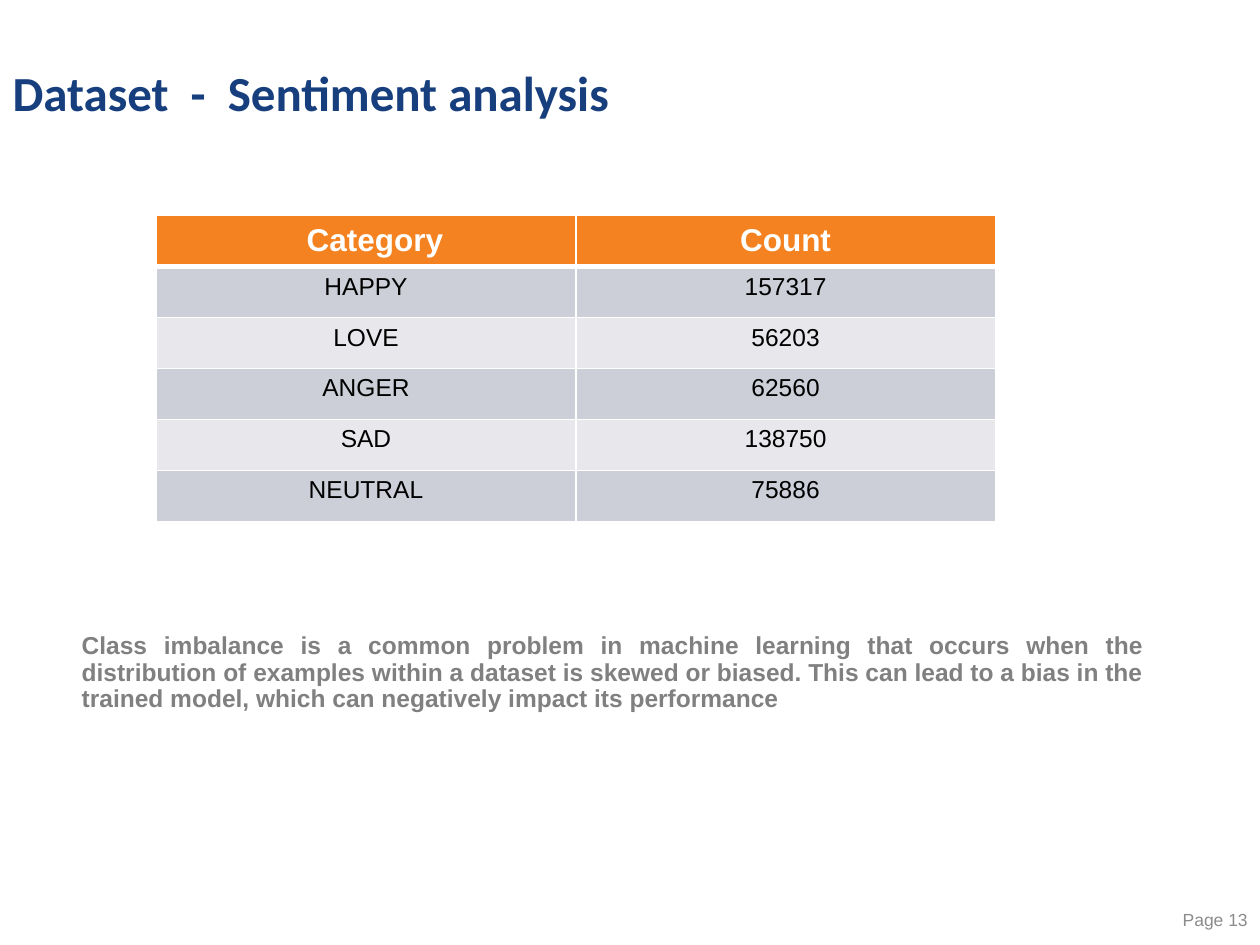
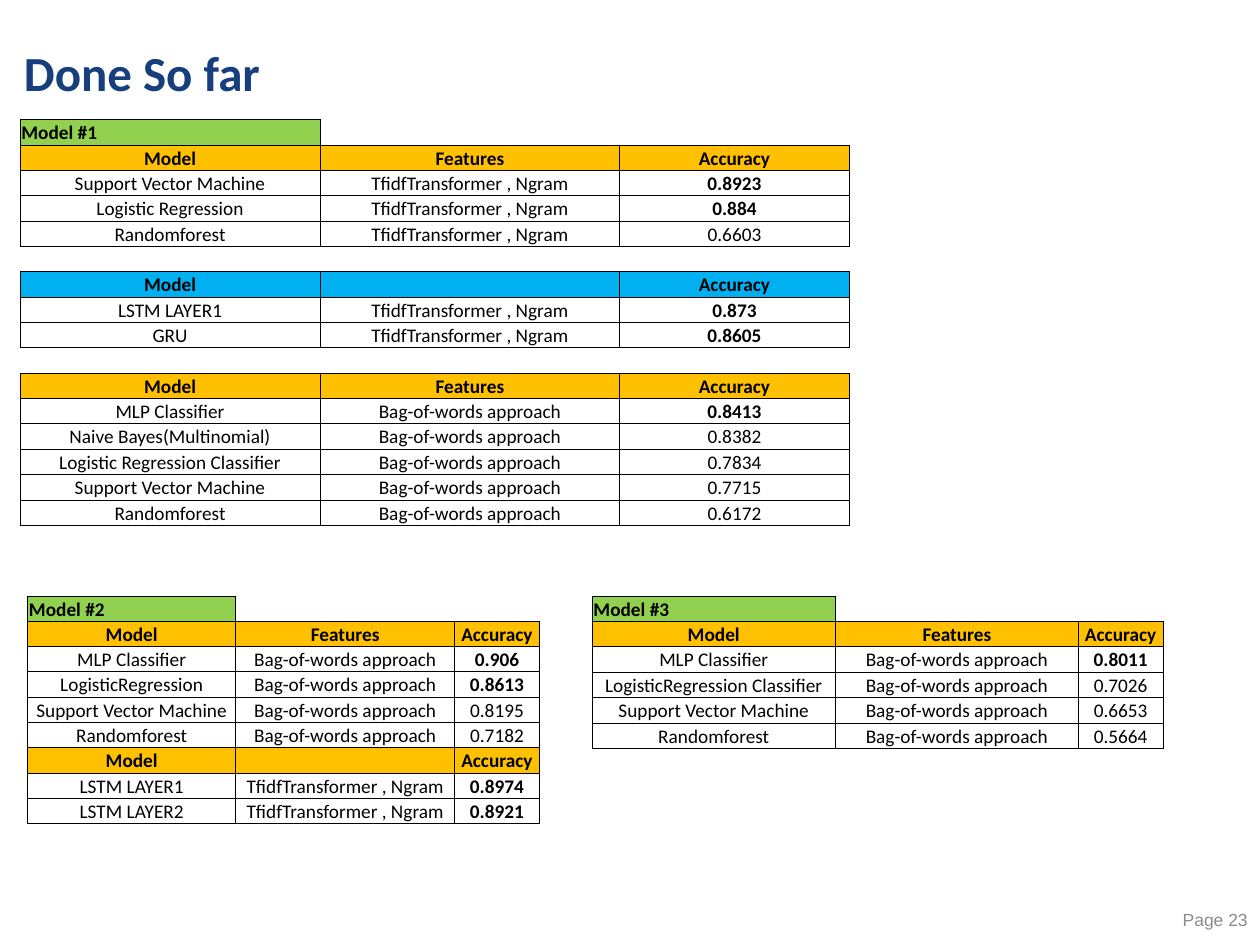
from dataclasses import dataclass

from lxml import etree
from pptx import Presentation
from pptx.dml.color import RGBColor
from pptx.enum.text import MSO_ANCHOR, MSO_AUTO_SIZE, PP_ALIGN
from pptx.oxml.ns import qn
from pptx.util import Inches, Pt

LEFT, CENTER, RIGHT, JUSTIFY = PP_ALIGN.LEFT, PP_ALIGN.CENTER, PP_ALIGN.RIGHT, PP_ALIGN.JUSTIFY
TOP, MIDDLE, BOTTOM = MSO_ANCHOR.TOP, MSO_ANCHOR.MIDDLE, MSO_ANCHOR.BOTTOM
NO_AUTOFIT = MSO_AUTO_SIZE.NONE
TITLE_ONLY = 5

COLORS = {
    "title": "173F7E", "note": "808080", "page": "8C8C8C",
    "white": "FFFFFF", "black": "000000",
    "orange": "F58220", "band_dark": "CCCFD8", "band_light": "E8E8EC",
    "green": "92D050", "amber": "FFC000", "blue": "00B0F0",
}
BODY_FONT, HEAD_FONT = "Arial", "Calibri"
TFIDF, BAG = "TfidfTransformer , Ngram", "Bag-of-words approach"


@dataclass
class Row:
    texts: tuple = ()
    fill: str = ""
    size: int = 11
    font: str = HEAD_FONT
    color: str = "black"
    bold: tuple = (False, False, False)
    align: PP_ALIGN = CENTER
    anchor: MSO_ANCHOR = BOTTOM


@dataclass
class Section:
    fill: str
    second_heading: str
    features: str
    results: tuple


class Deck:
    def __init__(self):
        self.prs = Presentation()
        self.prs.slide_width, self.prs.slide_height = Inches(10), Inches(7.5)
        self.slide = None

    def style(self, paragraph, size, font, color, bold=False, align=LEFT):
        paragraph.alignment = align
        for run in paragraph.runs:
            run.font.size, run.font.name, run.font.bold = Pt(size), font, bold
            run.font.color.rgb = RGBColor.from_string(COLORS[color])

    def add_slide(self, title, left, top, page):
        self.slide = self.prs.slides.add_slide(self.prs.slide_layouts[TITLE_ONLY])
        heading = self.slide.shapes.title
        heading.left, heading.top = Inches(left), Inches(top)
        heading.width, heading.height = Inches(7.22), Inches(0.6)
        frame = heading.text_frame
        frame.text = title
        frame.auto_size, frame.vertical_anchor = NO_AUTOFIT, MIDDLE
        frame.paragraphs[0].line_spacing = 0.9
        self.style(frame.paragraphs[0], 28, HEAD_FONT, "title", True)
        self.text(f"Page {page}", 8.75, 7.1, 1.25, 0.4, 10, "page", align=RIGHT, anchor=MIDDLE)

    def text(self, words, left, top, width, height, size, color,
             bold=False, align=LEFT, anchor=TOP, spacing=1.0):
        box = self.slide.shapes.add_textbox(Inches(left), Inches(top), Inches(width), Inches(height))
        frame = box.text_frame
        frame.word_wrap, frame.vertical_anchor = True, anchor
        frame.text = words
        frame.paragraphs[0].line_spacing = spacing
        self.style(frame.paragraphs[0], size, BODY_FONT, color, bold, align)

    def border(self, cell, side, width, color):
        line = etree.SubElement(cell._tc.get_or_add_tcPr(), qn(f"a:ln{side}"), w=str(Pt(width)))
        if width:
            fill = etree.SubElement(line, qn("a:solidFill"))
            etree.SubElement(fill, qn("a:srgbClr"), val=COLORS[color])
        else:
            etree.SubElement(line, qn("a:noFill"))

    def table(self, left, top, height, widths, rows, line, line_color, header_line=None, tight=False):
        grid = self.slide.shapes.add_table(
            len(rows), len(widths), Inches(left), Inches(top), Inches(sum(widths)), Inches(height)).table
        for column, width in zip(grid.columns, widths):
            column.width = Inches(width)

        def boxed(r, c):
            return 0 <= r < len(rows) and 0 <= c < len(rows[r].texts)

        for r, row in enumerate(rows):
            grid.rows[r].height = Inches(height / len(rows))
            for c in range(len(widths)):
                cell = grid.cell(r, c)
                for side, dr, dc in (("L", 0, -1), ("R", 0, 1), ("T", -1, 0), ("B", 1, 0)):
                    width = line if boxed(r, c) or boxed(r + dr, c + dc) else 0
                    if header_line and (r, side) in ((0, "B"), (1, "T")):
                        width = header_line
                    self.border(cell, side, width, line_color)
                self.fill_cell(cell, row, c, tight)
        return grid

    def fill_cell(self, cell, row, c, tight):
        words = row.texts[c] if c < len(row.texts) else ""
        if row.fill and c < len(row.texts):
            cell.fill.solid()
            cell.fill.fore_color.rgb = RGBColor.from_string(COLORS[row.fill])
        else:
            cell.fill.background()
        if tight:
            cell.margin_left = cell.margin_right = cell.margin_top = Inches(0.01)
            cell.margin_bottom = 0
        cell.vertical_anchor = row.anchor
        paragraph = cell.text_frame.paragraphs[0]
        if words:
            paragraph.text = words
            self.style(paragraph, row.size, row.font, row.color, row.bold[c], row.align)
        else:
            etree.SubElement(paragraph._p, qn("a:endParaRPr"), sz=str(row.size * 100))

    def results(self, name, left, top, height, widths, sections, strong_from, gap=False):
        all_bold = (True, True, True)
        rows = [Row((name,), "green", bold=all_bold, align=LEFT)]
        for number, section in enumerate(sections):
            if gap and number:
                rows.append(Row())
            rows.append(Row(("Model", section.second_heading, "Accuracy"), section.fill, bold=all_bold))
            for model, accuracy in section.results:
                strong = float(accuracy) >= strong_from
                rows.append(Row((model, section.features, accuracy), bold=(False, False, strong)))
        self.table(left, top, height, widths, rows, 0.5, "black", tight=True)


def dataset_slide(deck):
    deck.add_slide("Dataset  -  Sentiment analysis", 0, 0.46, 13)
    deck.text("Class imbalance is a common problem in machine learning that occurs when the "
              "distribution of examples within a dataset is skewed or biased. This can lead to a bias "
              "in the trained model, which can negatively impact its performance",
              0.55, 4.98, 8.63, 1.17, 14, "note", True, JUSTIFY, spacing=0.9)
    counts = (("HAPPY", "157317"), ("LOVE", "56203"), ("ANGER", "62560"),
              ("SAD", "138750"), ("NEUTRAL", "75886"))
    rows = [Row(("Category", "Count"), "orange", 18, BODY_FONT, "white", (True, True), anchor=MIDDLE)]
    for number, count in enumerate(counts):
        band = "band_light" if number % 2 else "band_dark"
        rows.append(Row(count, band, 14, BODY_FONT, anchor=TOP))
    categories = deck.table(1.24, 1.71, 2.43, (3.33, 3.33), rows, 1, "white", header_line=3)
    categories.cell(0, 0).margin_left = Inches(0.24)


def progress_slide(deck):
    deck.add_slide("Done So far", 0.09, 0.3, 23)
    deck.results("Model #1", 0.16, 0.95, 3.22, (2.38, 2.38, 1.82), (
        Section("amber", "Features", TFIDF, (
            ("Support Vector Machine", "0.8923"), ("Logistic Regression", "0.884"),
            ("Randomforest", "0.6603"))),
        Section("blue", "", TFIDF, (("LSTM LAYER1", "0.873"), ("GRU", "0.8605"))),
        Section("amber", "Features", BAG, (
            ("MLP Classifier", "0.8413"), ("Naive Bayes(Multinomial)", "0.8382"),
            ("Logistic Regression Classifier", "0.7834"), ("Support Vector Machine", "0.7715"),
            ("Randomforest", "0.6172"))),
    ), strong_from=0.84, gap=True)
    deck.results("Model #2", 0.22, 4.73, 1.81, (1.65, 1.74, 0.67), (
        Section("amber", "Features", BAG, (
            ("MLP Classifier", "0.906"), ("LogisticRegression", "0.8613"),
            ("Support Vector Machine", "0.8195"), ("Randomforest", "0.7182"))),
        Section("amber", "", TFIDF, (("LSTM LAYER1", "0.8974"), ("LSTM LAYER2", "0.8921"))),
    ), strong_from=0.84)
    deck.results("Model #3", 4.7, 4.73, 1.21, (1.93, 1.93, 0.67), (
        Section("amber", "Features", BAG, (
            ("MLP Classifier", "0.8011"), ("LogisticRegression Classifier", "0.7026"),
            ("Support Vector Machine", "0.6653"), ("Randomforest", "0.5664"))),
    ), strong_from=0.8)


def main():
    deck = Deck()
    dataset_slide(deck)
    progress_slide(deck)
    deck.prs.save("out.pptx")


if __name__ == "__main__":
    main()
